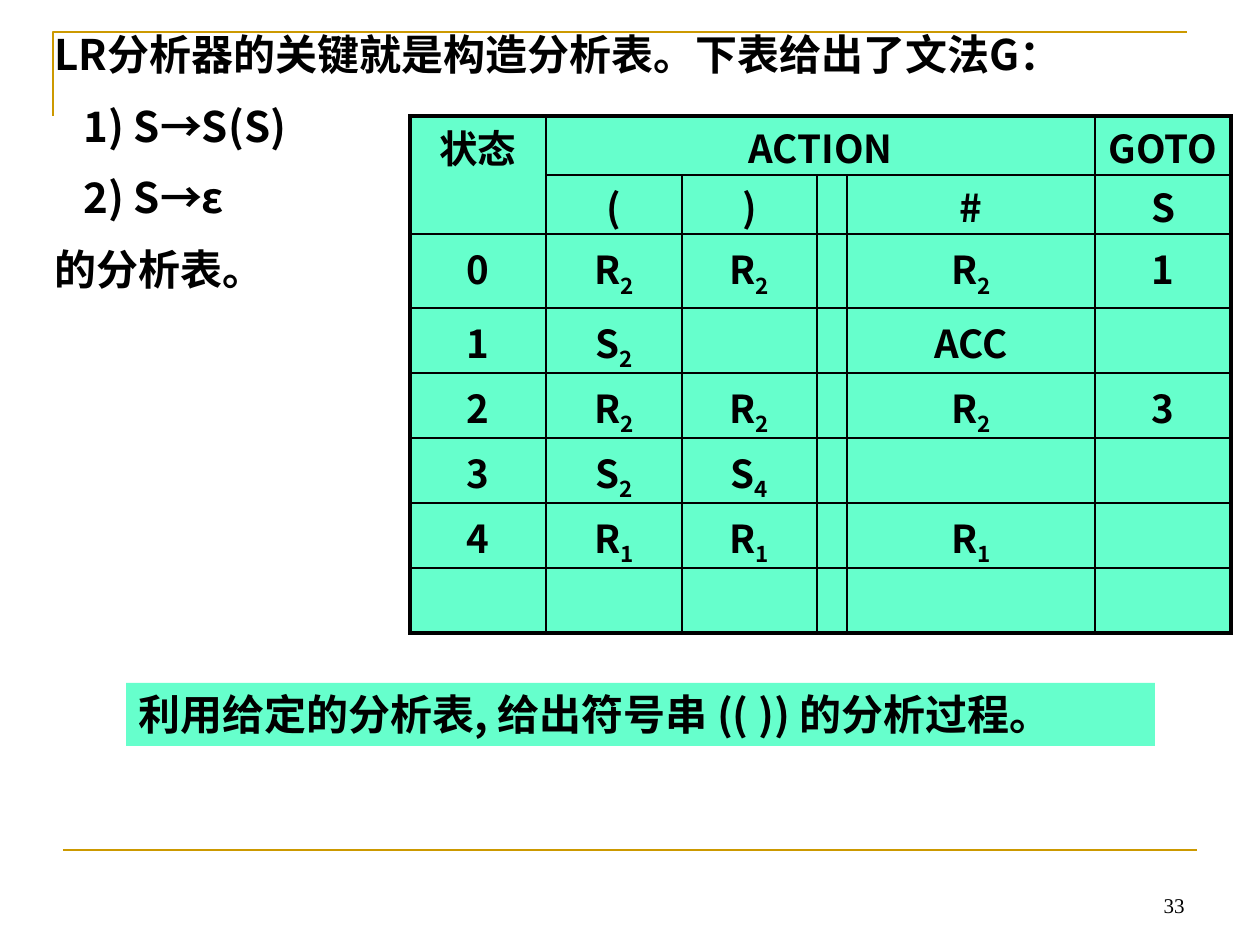
from lxml import etree
from pptx import Presentation
from pptx.dml.color import RGBColor
from pptx.enum.shapes import MSO_CONNECTOR, MSO_SHAPE
from pptx.enum.text import MSO_ANCHOR, MSO_AUTO_SIZE, PP_ALIGN
from pptx.oxml.ns import qn
from pptx.util import Pt

PX = 914400 // 126
LEFT, MID, RIGHT, JUST = PP_ALIGN.LEFT, PP_ALIGN.CENTER, PP_ALIGN.RIGHT, PP_ALIGN.JUSTIFY
TOP, BOTTOM = MSO_ANCHOR.TOP, MSO_ANCHOR.BOTTOM
RECT, LINE, FIXED = MSO_SHAPE.RECTANGLE, MSO_CONNECTOR.STRAIGHT, MSO_AUTO_SIZE.NONE
SANS, SERIF = "Noto Sans CJK SC", "Times New Roman"
HEX = {"gold": "CC9900", "mint": "66FFCC", "ink": "000000"}
INK = {name: RGBColor.from_string(code) for name, code in HEX.items()}


def style(para, size, align, face=SANS, bold=True):
    para.alignment = align
    font = para.font
    font.size, font.bold, font.name = Pt(size), bold, face
    font.color.rgb = INK["ink"]
    props = para._p.pPr.find(qn("a:defRPr"))
    etree.SubElement(props, qn("a:ea"), typeface=face)


def border(cell, sides):
    props = cell._tc.get_or_add_tcPr()
    for side, width in zip("LRTB", sides):
        line = etree.SubElement(props, qn("a:ln" + side), w=str(Pt(width)))
        fill = etree.SubElement(line, qn("a:solidFill"))
        etree.SubElement(fill, qn("a:srgbClr"), val=HEX["ink"])


deck = Presentation()
deck.slide_width, deck.slide_height = 1260 * PX, 945 * PX
slide = deck.slides.add_slide(deck.slide_layouts[1])
shapes = slide.shapes
title = shapes.title
title._element.getparent().remove(title._element)

pen = shapes.build_freeform(53 * PX, 116 * PX)
pen.add_line_segments([(53 * PX, 32 * PX), (1187 * PX, 32 * PX)], close=False)
frame = pen.convert_to_shape()
frame.shadow.inherit = False
frame.fill.background()
rule = shapes.add_connector(LINE, 63 * PX, 850 * PX, 1197 * PX, 850 * PX)
etree.SubElement(rule._element.spPr, qn("a:effectLst"))
for item in (frame, rule):
    item.line.color.rgb = INK["gold"]
    item.line.width = Pt(1.5)

page = shapes.add_textbox(903 * PX, 861 * PX, 294 * PX, 63 * PX).text_frame
page.word_wrap = True
page.vertical_anchor = BOTTOM
page.text = "33"
style(page.paragraphs[0], 12, RIGHT, SERIF, False)

body = slide.placeholders[1]
body.left, body.top, body.width, body.height = 42 * PX, 21 * PX, 1218 * PX, 292 * PX
text = body.text_frame
text.auto_size = FIXED
text.vertical_anchor = TOP
text.margin_top = 8 * PX
lines = [
    ("LR分析器的关键就是构造分析表。下表给出了文法G：", 0, JUST),
    ("1) S→S(S)", 29, JUST),
    ("2) S→ε", 29, JUST),
    ("的分析表。", 0, LEFT),
]
for i, (words, indent, align) in enumerate(lines):
    para = text.add_paragraph() if i else text.paragraphs[0]
    para.text = words
    para.space_before = Pt(12 if i else 0)
    props = para._p.get_or_add_pPr()
    props.set("marL", str(indent * PX))
    props.set("indent", "0")
    etree.SubElement(props, qn("a:buNone"))
    style(para, 24, align)

cols = [136, 136, 135, 30, 248, 136]
rows = [59, 59, 74] + [65] * 5
cells = [
    ["状态", "ACTION", "", "", "", "GOTO"],
    ["", "(", ")", "", "#", "S"],
    ["0", "R_2", "R_2", "", "R_2", "1"],
    ["1", "S_2", "", "", "ACC", ""],
    ["2", "R_2", "R_2", "", "R_2", "3"],
    ["3", "S_2", "S_4", "", "", ""],
    ["4", "R_1", "R_1", "", "R_1", ""],
    [""] * 6,
]
grid = shapes.add_table(len(rows), len(cols), 410 * PX, 116 * PX,
                        sum(cols) * PX, sum(rows) * PX).table
for col, width in zip(grid.columns, cols):
    col.width = width * PX
for row, height in zip(grid.rows, rows):
    row.height = height * PX
grid.cell(0, 0).merge(grid.cell(1, 0))
grid.cell(0, 1).merge(grid.cell(0, 4))
for r, row in enumerate(cells):
    for c, words in enumerate(row):
        cell = grid.cell(r, c)
        edges = (c == 0, c == len(cols) - 1, r == 0, r == len(rows) - 1)
        border(cell, [2.25 if edge else 1 for edge in edges])
        cell.fill.solid()
        cell.fill.fore_color.rgb = INK["mint"]
        cell.margin_top = (3 if r < 2 else 6) * PX
        cell.margin_bottom = 0
        para = cell.text_frame.paragraphs[0]
        style(para, 22, MID)
        if words:
            base, _, sub = words.partition("_")
            para.add_run().text = base
            if sub:
                run = para.add_run()
                run.text = sub
                run.font._element.set("baseline", "-25000")

task = shapes.add_shape(RECT, 126 * PX, 683 * PX, 1029 * PX, 63 * PX)
task.shadow.inherit = False
task.fill.solid()
task.fill.fore_color.rgb = INK["mint"]
task.line.fill.background()
text = task.text_frame
text.vertical_anchor = TOP
text.margin_top = 6 * PX
text.margin_bottom = 0
text.text = "利用给定的分析表, 给出符号串 (( )) 的分析过程。"
style(text.paragraphs[0], 24, JUST)

deck.save("out.pptx")
